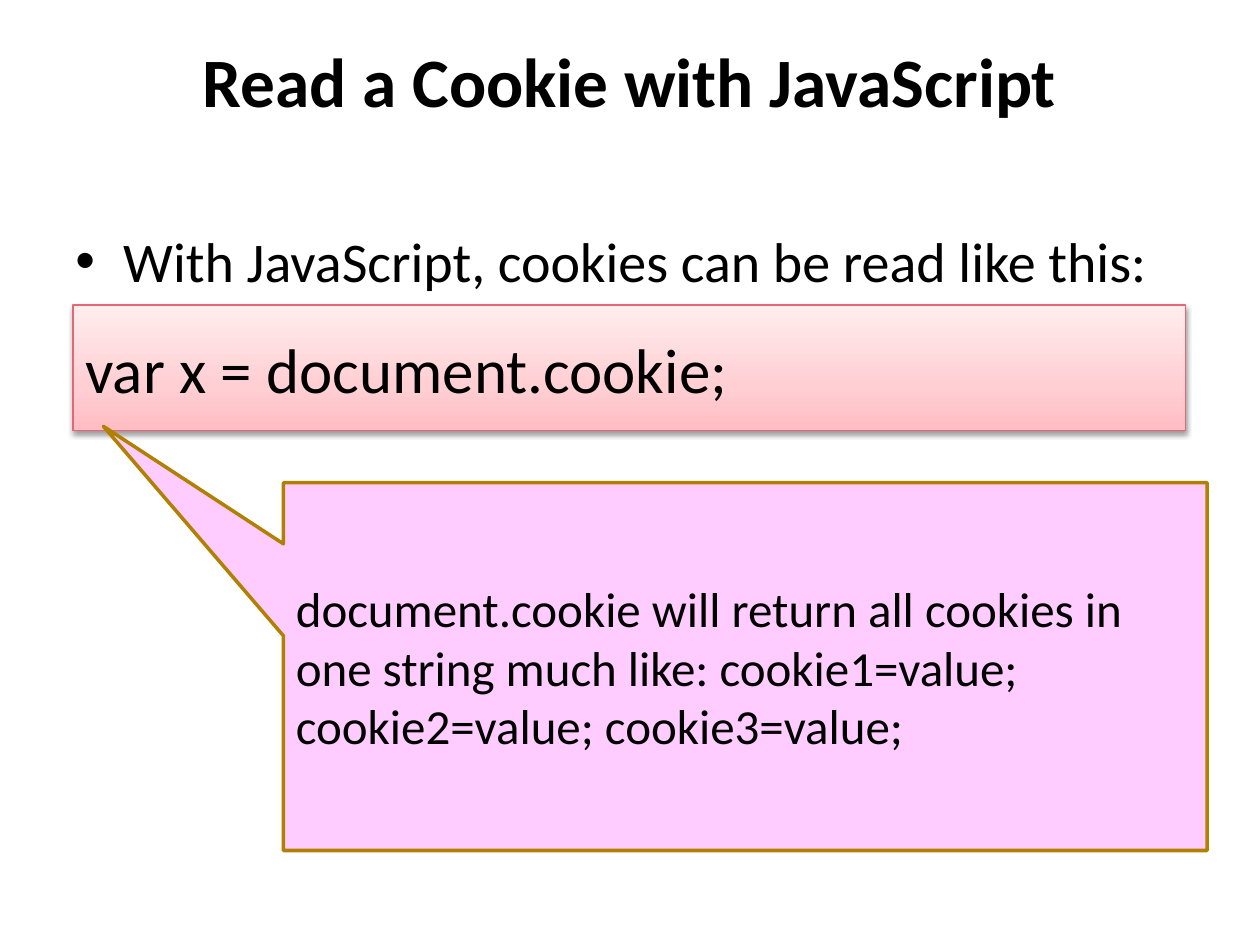
from dataclasses import dataclass

from lxml.etree import SubElement
from pptx import Presentation
from pptx.dml.color import RGBColor
from pptx.enum.shapes import MSO_SHAPE as Shape
from pptx.enum.text import MSO_ANCHOR as Anchor, PP_ALIGN as Align
from pptx.oxml import parse_xml
from pptx.oxml.ns import nsdecls, qn
from pptx.util import Emu, Inches, Pt

BLACK = RGBColor(0x00, 0x00, 0x00)
ROSE = RGBColor(0xE4, 0x67, 0x78)
LILAC = RGBColor(0xFF, 0xCC, 0xFF)
OCHRE = RGBColor(0xB2, 0x80, 0x00)
PINK_STOPS = (
    (0, RGBColor(0xFF, 0xBC, 0xC2)),
    (35, RGBColor(0xFF, 0xCF, 0xD3)),
    (100, RGBColor(0xFF, 0xED, 0xEE)),
)
FONT = "Calibri"


@dataclass(frozen=True)
class Box:
    """A rectangle in inches."""
    left: float
    top: float
    width: float
    height: float

    def emu(self) -> list[Emu]:
        return [Inches(v) for v in (self.left, self.top, self.width, self.height)]


def write(sp, text: str, size: float, anchor=Anchor.MIDDLE,
          align=Align.LEFT, bold: bool = False):
    """Fill a shape with one paragraph and return that paragraph."""
    tf = sp.text_frame
    tf.text = text
    tf.word_wrap = True
    tf.vertical_anchor = anchor
    p = tf.paragraphs[0]
    p.alignment = align
    font = p.runs[0].font
    font.name, font.size, font.bold = FONT, Pt(size), bold
    font.color.rgb = BLACK
    return p


def add_box(slide, kind, box: Box, line: RGBColor, width: float):
    sp = slide.shapes.add_shape(kind, *box.emu())
    sp.shadow.inherit = False
    sp.line.color.rgb = line
    sp.line.width = Pt(width)
    return sp


def set_bullet(p, indent: float) -> None:
    pPr = p._p.get_or_add_pPr()
    pPr.set("marL", str(Inches(indent)))
    pPr.set("indent", str(-Inches(indent)))
    SubElement(pPr, qn("a:buFont"), typeface="Arial")
    SubElement(pPr, qn("a:buChar"), char="•")


def set_gradient(sp, stops) -> None:
    """Fill from the first stop at the bottom to the last at the top."""
    gs = "".join(f'<a:gs pos="{pos * 1000}"><a:srgbClr val="{color}"/></a:gs>'
                 for pos, color in stops)
    fill = parse_xml(f'<a:gradFill {nsdecls("a")} rotWithShape="1"><a:gsLst>{gs}</a:gsLst>'
                     '<a:lin ang="16200000" scaled="0"/></a:gradFill>')
    sp._element.spPr.find(qn("a:prstGeom")).addnext(fill)


def set_drop_shadow(sp, blur: float, distance: float, opacity: int) -> None:
    effects = sp._element.spPr.find(qn("a:effectLst"))
    shadow = SubElement(effects, qn("a:outerShdw"), blurRad=str(Pt(blur)),
                        dist=str(Pt(distance)), dir="5400000", rotWithShape="0")
    color = SubElement(shadow, qn("a:srgbClr"), val=str(BLACK))
    SubElement(color, qn("a:alpha"), val=str(opacity * 1000))


def main() -> None:
    prs = Presentation()
    prs.slide_width, prs.slide_height = Inches(10), Inches(7.5)
    slide = prs.slides.add_slide(prs.slide_layouts[6])

    title = slide.shapes.add_textbox(*Box(0.5, 0.3, 9, 1.25).emu())
    write(title, "Read a Cookie with JavaScript", 39.6, Anchor.TOP, Align.CENTER, True)
    title.text_frame.margin_top = 0

    body = slide.shapes.add_textbox(*Box(0.5, 1.75, 9, 4.95).emu())
    p = write(body, "With JavaScript, cookies can be read like this:", 32, Anchor.TOP)
    set_bullet(p, 0.38)

    code = add_box(slide, Shape.RECTANGLE, Box(0.58, 2.42, 8.83, 1), ROSE, 0.75)
    set_gradient(code, PINK_STOPS)
    set_drop_shadow(code, 3.1, 1.6, 38)
    write(code, "var x = document.cookie;", 36)

    callout = add_box(slide, Shape.RECTANGULAR_CALLOUT, Box(2.25, 3.83, 7.33, 2.92), OCHRE, 2)
    callout.adjustments[0], callout.adjustments[1] = -0.695, -0.653
    callout.fill.solid()
    callout.fill.fore_color.rgb = LILAC
    write(callout, "document.cookie will return all cookies in one string much like: "
                   "cookie1=value; cookie2=value; cookie3=value;", 28)

    prs.save("out.pptx")


if __name__ == "__main__":
    main()
